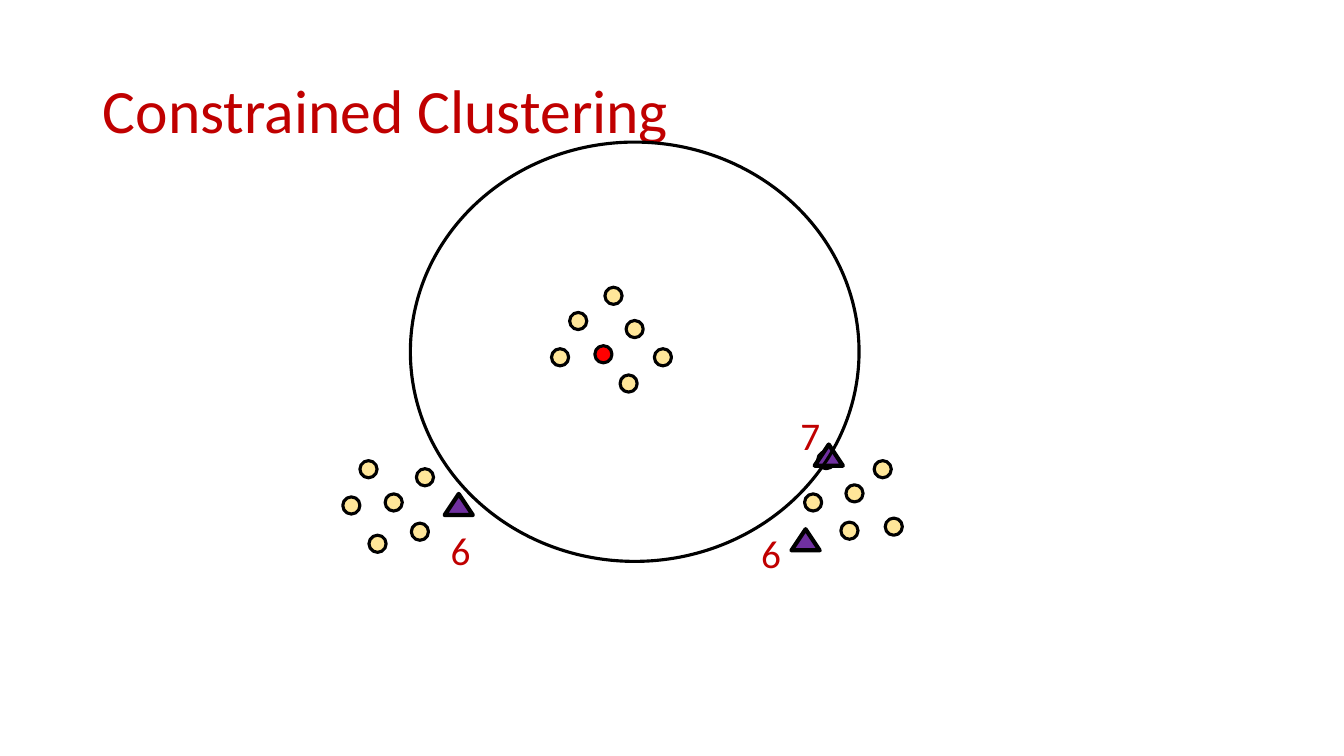
"""Build the Constrained Clustering slide: points, candidate centres and a bounding ellipse."""
from dataclasses import dataclass

from pptx import Presentation
from pptx import util as u
from pptx.dml.color import RGBColor
from pptx.enum import shapes, text

TITLE = "Constrained Clustering"
TITLE_BOX = (92, 40, 1150, 145)

LEFT_CLUSTER = [(340, 493), (366, 531), (413, 465), (382, 490), (408, 519), (357, 457)]
RIGHT_CLUSTER = [(798, 490), (867, 457), (811, 448), (834, 518), (878, 514), (839, 481)]
MIDDLE_CLUSTER = [(547, 346), (649, 346), (621, 318), (615, 372), (565, 310), (600, 285)]
CENTROID = (590, 343)
TRIANGLES = [(441, 490), (808, 441), (785, 525)]
COUNTS = [("6", 437, 517), ("6", 745, 520), ("7", 784, 403)]
BOUNDARY = (407, 141, 445, 416)

POINT_SIZE = (17, 17)
TRIANGLE_SIZE = (28, 21)
COUNT_SIZE = (36, 57)
SLIDE_SIZE = (1333, 750)
EMU_PER_PX = 9144


@dataclass(frozen=True)
class Theme:
    font: str = "Calibri"
    accent: str = "C00000"
    outline: str = "000000"
    point: str = "FFE699"
    centroid: str = "FF0000"
    triangle: str = "7030A0"
    title_size: int = 44
    count_size: int = 28
    thin: float = 2.25
    thick: float = 3


THEME = Theme()


def px(*lengths):
    return [u.Emu(length * EMU_PER_PX) for length in lengths]


def add_outlined(slide, kind, box, fill=None, width=THEME.thin):
    shape = slide.shapes.add_shape(kind, *px(*box))
    shape.shadow.inherit = False
    if fill:
        shape.fill.solid()
        shape.fill.fore_color.rgb = RGBColor.from_string(fill)
    else:
        shape.fill.background()
    shape.line.color.rgb = RGBColor.from_string(THEME.outline)
    shape.line.width = u.Pt(width)


def write(paragraph, words, size):
    run = paragraph.add_run()
    run.text = words
    run.font.name = THEME.font
    run.font.size = u.Pt(size)
    run.font.color.rgb = RGBColor.from_string(THEME.accent)


def add_title(slide):
    title = slide.shapes.title
    title.left, title.top, title.width, title.height = px(*TITLE_BOX)
    frame = title.text_frame
    frame.vertical_anchor = text.MSO_ANCHOR.MIDDLE
    paragraph = frame.paragraphs[0]
    paragraph.alignment = text.PP_ALIGN.LEFT
    paragraph.line_spacing = 0.9
    write(paragraph, TITLE, THEME.title_size)


def add_count(slide, count, left, top):
    frame = slide.shapes.add_textbox(*px(left, top, *COUNT_SIZE)).text_frame
    frame.word_wrap = False
    frame.auto_size = text.MSO_AUTO_SIZE.SHAPE_TO_FIT_TEXT
    write(frame.paragraphs[0], count, THEME.count_size)


def main():
    presentation = Presentation()
    presentation.slide_width, presentation.slide_height = px(*SLIDE_SIZE)
    slide = presentation.slides.add_slide(presentation.slide_layouts.get_by_name("Title Only"))
    add_title(slide)

    oval = shapes.MSO_SHAPE.OVAL
    for point in LEFT_CLUSTER + RIGHT_CLUSTER + MIDDLE_CLUSTER:
        add_outlined(slide, oval, point + POINT_SIZE, THEME.point)
    add_outlined(slide, oval, CENTROID + POINT_SIZE, THEME.centroid)
    for corner in TRIANGLES:
        add_outlined(slide, shapes.MSO_SHAPE.ISOSCELES_TRIANGLE, corner + TRIANGLE_SIZE,
                     THEME.triangle, THEME.thick)
    for count in COUNTS:
        add_count(slide, *count)
    add_outlined(slide, oval, BOUNDARY)

    presentation.save("out.pptx")


if __name__ == "__main__":
    main()
